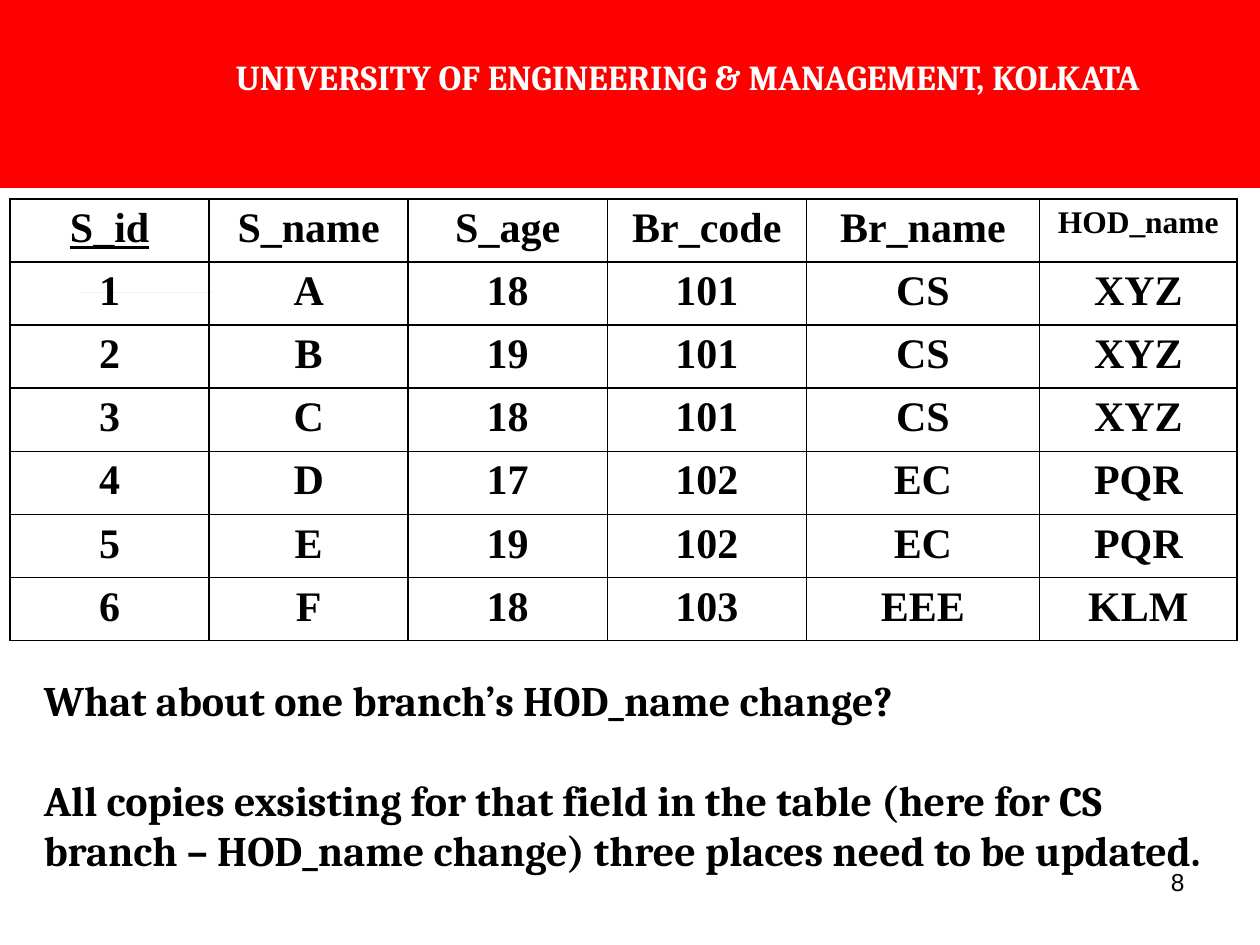
"""Build a slide on the update anomaly in a student table."""
from dataclasses import dataclass

from lxml import etree
from pptx import Presentation
from pptx import util as u
from pptx.dml.color import RGBColor
from pptx.enum import shapes, text
from pptx.oxml.ns import qn

TITLE = "UNIVERSITY OF ENGINEERING & MANAGEMENT, KOLKATA"
ROWS = [
    ("S_id", "S_name", "S_age", "Br_code", "Br_name", "HOD_name"),
    ("1", "A", "18", "101", "CS", "XYZ"),
    ("2", "B", "19", "101", "CS", "XYZ"),
    ("3", "C", "18", "101", "CS", "XYZ"),
    ("4", "D", "17", "102", "EC", "PQR"),
    ("5", "E", "19", "102", "EC", "PQR"),
    ("6", "F", "18", "103", "EEE", "KLM"),
]
NOTES = [
    "What about one branch’s HOD_name change?",
    "All copies exsisting for that field in the table (here for CS branch"
    " – HOD_name change) three places need to be updated.",
]
PAGE = "8"
WIDTHS = [1.58, 1.58, 1.58, 1.58, 1.85, 1.57]
BAND_WIDTHS = [1.17, 8.58, 0.25]
BAND_ROWS = [0.42, 0.57, 0.5]
MERGES = [((0, 0), (0, 1)), ((1, 0), (2, 0)), ((2, 1), (2, 2))]


@dataclass(frozen=True)
class Theme:
    red: str = "FF0000"
    white: str = "FFFFFF"
    black: str = "000000"
    orange: str = "F79646"
    head: str = "Cambria"
    cell: str = "Times New Roman"
    plain: str = "Arial"
    big: int = 24
    title: int = 20
    small: int = 18
    page: int = 14


T = Theme()
CENTER, RIGHT = text.PP_ALIGN.CENTER, text.PP_ALIGN.RIGHT


def write(frame, *lines, font=T.head, size=T.big, color=T.black, bold=True,
          under=False, align=text.PP_ALIGN.LEFT, gap=0):
    frame.word_wrap = True
    for i, line in enumerate(lines):
        para = frame.add_paragraph() if i else frame.paragraphs[0]
        para.alignment = align
        para.space_before = u.Pt(gap if i else 0)
        run = para.add_run()
        run.text = line
        run.font.name, run.font.size = font, u.Pt(size)
        run.font.bold, run.font.underline = bold, under
        run.font.color.rgb = RGBColor.from_string(color)


def edge(cell, color):
    props = cell._tc.get_or_add_tcPr()
    for i, tag in enumerate(("a:lnL", "a:lnR", "a:lnT", "a:lnB")):
        line = etree.Element(qn(tag), w=str(u.Pt(1)))
        fill = etree.SubElement(line, qn("a:solidFill"))
        etree.SubElement(fill, qn("a:srgbClr"), val=color)
        props.insert(i, line)


def grid(slide, left, top, widths, heights, color, fill=None):
    table = slide.shapes.add_table(
        len(heights), len(widths), u.Inches(left), u.Inches(top),
        u.Inches(sum(widths)), u.Inches(sum(heights))).table
    table.first_row = table.horz_banding = False
    for col, width in zip(table.columns, widths):
        col.width = u.Inches(width)
    for row, height in zip(table.rows, heights):
        row.height = u.Inches(height)
    for cell in table.iter_cells():
        if fill:
            cell.fill.solid()
            cell.fill.fore_color.rgb = RGBColor.from_string(fill)
        else:
            cell.fill.background()
        edge(cell, color)
    return table


def box(slide, *spot):
    return slide.shapes.add_textbox(*map(u.Inches, spot)).text_frame


def main():
    deck = Presentation()
    deck.slide_width, deck.slide_height = u.Inches(10), u.Inches(7.5)
    slide = deck.slides.add_slide(deck.slide_layouts[6])

    rule = slide.shapes.add_shape(
        shapes.MSO_SHAPE.RECTANGLE, *map(u.Inches, (0.63, 2.32, 1.07, 0)))
    rule.shadow.inherit = False
    rule.fill.solid()
    rule.fill.fore_color.rgb = RGBColor.from_string(T.orange)
    rule.line.fill.background()

    band = grid(slide, 0, 0, BAND_WIDTHS, BAND_ROWS, T.red, T.red)
    for start, end in MERGES:
        band.cell(*start).merge(band.cell(*end))
    write(band.cell(1, 1).text_frame, TITLE, size=T.title, color=T.white,
          align=CENTER)

    write(box(slide, 7.17, 6.83, 2.33, 0.52), PAGE, font=T.plain,
          size=T.page, bold=False, align=RIGHT)

    table = grid(slide, 0.08, 1.58, WIDTHS, [0.47] * len(ROWS), T.black)
    for r, row in enumerate(ROWS):
        for c, word in enumerate(row):
            write(table.cell(r, c).text_frame, word, font=T.cell,
                  size=T.small if word == "HOD_name" else T.big,
                  under=word == "S_id", align=CENTER)

    write(box(slide, 0.25, 5.3, 9.5, 2.12), *NOTES, gap=28.5)
    deck.save("out.pptx")


if __name__ == "__main__":
    main()
